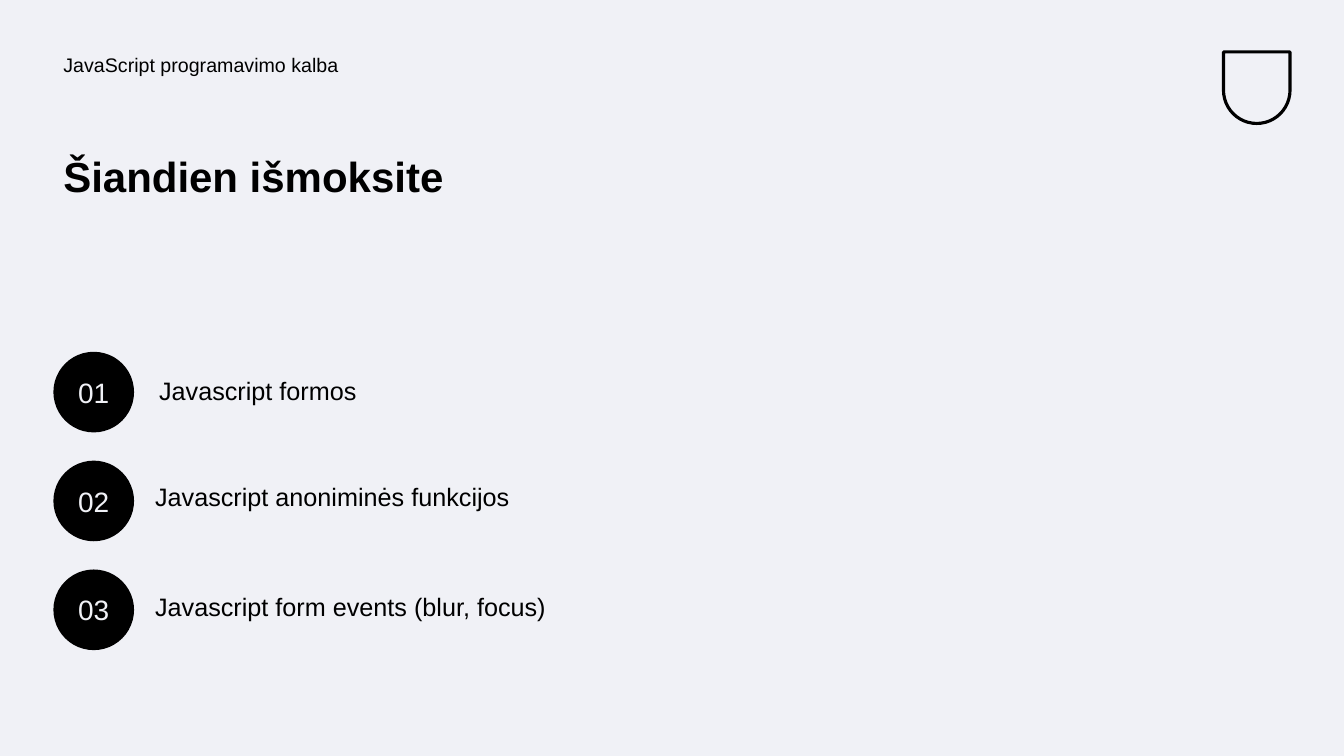
import pptx
import pptx.util
import pptx.dml.color
import pptx.enum.shapes
import pptx.enum.text
from dataclasses import dataclass

SHAPE = pptx.enum.shapes.MSO_SHAPE
ALIGN = pptx.enum.text.PP_ALIGN
ANCHOR = pptx.enum.text.MSO_ANCHOR


@dataclass(frozen=True)
class Theme:
    """Colours, font and type sizes of the slide."""
    ink: str = "000000"
    paper: str = "F0F1F6"
    font: str = "Arial"
    label: int = 14
    title: int = 30
    topic: int = 18
    number: int = 20


def color(code):
    """Turn a hex code into a colour."""
    return pptx.dml.color.RGBColor.from_string(code)


def write(frame, text, size, ink, font, bold=False, align=ALIGN.LEFT,
          anchor=ANCHOR.TOP, space=None):
    """Fill a text frame with one formatted paragraph."""
    frame.word_wrap = True
    frame.vertical_anchor = anchor
    line = frame.paragraphs[0]
    line.alignment = align
    line.line_spacing = space
    run = line.add_run()
    run.text = text
    run.font.size = pptx.util.Pt(size)
    run.font.name = font
    run.font.bold = bold
    run.font.color.rgb = color(ink)


class Page:
    """Hold the theme and the slide; lengths are cells of a 0.1 inch grid."""
    cell = 0.1

    def __init__(self, slide, theme):
        """Keep the slide and paint its background."""
        self.slide, self.theme = slide, theme
        fill = slide.background.fill
        fill.solid()
        fill.fore_color.rgb = color(theme.paper)

    def place(self, *cells):
        """Turn grid cells into lengths."""
        return [pptx.util.Inches(n * self.cell) for n in cells]

    def text(self, box, words, size, **form):
        """Add a text box."""
        frame = self.slide.shapes.add_textbox(*self.place(*box)).text_frame
        write(frame, words, size, self.theme.ink, self.theme.font, **form)

    def badge(self, box, words):
        """Add a filled circle with a number."""
        disc = self.slide.shapes.add_shape(SHAPE.OVAL, *self.place(*box))
        disc.shadow.inherit = False
        disc.fill.solid()
        disc.fill.fore_color.rgb = color(self.theme.ink)
        disc.line.fill.background()
        write(disc.text_frame, words, self.theme.number, self.theme.paper,
              self.theme.font, align=ALIGN.CENTER, anchor=ANCHOR.MIDDLE)

    def shield(self, box, width):
        """Add an outlined shield with a round foot."""
        mark = self.slide.shapes.add_shape(
            SHAPE.ROUND_2_SAME_RECTANGLE, *self.place(*box))
        mark.adjustments[0], mark.adjustments[1] = 0, 0.5
        mark.shadow.inherit = False
        mark.fill.background()
        mark.line.color.rgb = color(self.theme.ink)
        mark.line.width = pptx.util.Pt(width)


def main():
    """Build and save the slide."""
    deck = pptx.Presentation()
    deck.slide_width = pptx.util.Inches(13.33)
    deck.slide_height = pptx.util.Inches(7.5)
    theme = Theme()
    page = Page(deck.slides.add_slide(deck.slide_layouts[6]), theme)

    left = 5.3
    page.shield((121.35, 5.15, 6.6, 7.1), 2.25)
    page.text((left, 5, 74.2, 5), "JavaScript programavimo kalba",
              theme.label, space=0.9)
    page.text((left, 15, 56.4, 14.9), "Šiandien išmoksite",
              theme.title, bold=True, space=0.9)

    first, step, disc = 34.9, 10.8, 8
    topics = [("Javascript formos", 14.8, 1.8),
              ("Javascript anoniminės funkcijos", 14.4, 1.6),
              ("Javascript form events (blur, focus)", 14.4, 1.7)]
    for row, (words, col, drop) in enumerate(topics):
        top = first + row * step
        page.badge((left, top, disc, disc), f"{row + 1:02d}")
        page.text((col, top + drop, 46.3, 4.5), words, theme.topic)

    deck.save("out.pptx")


main()
